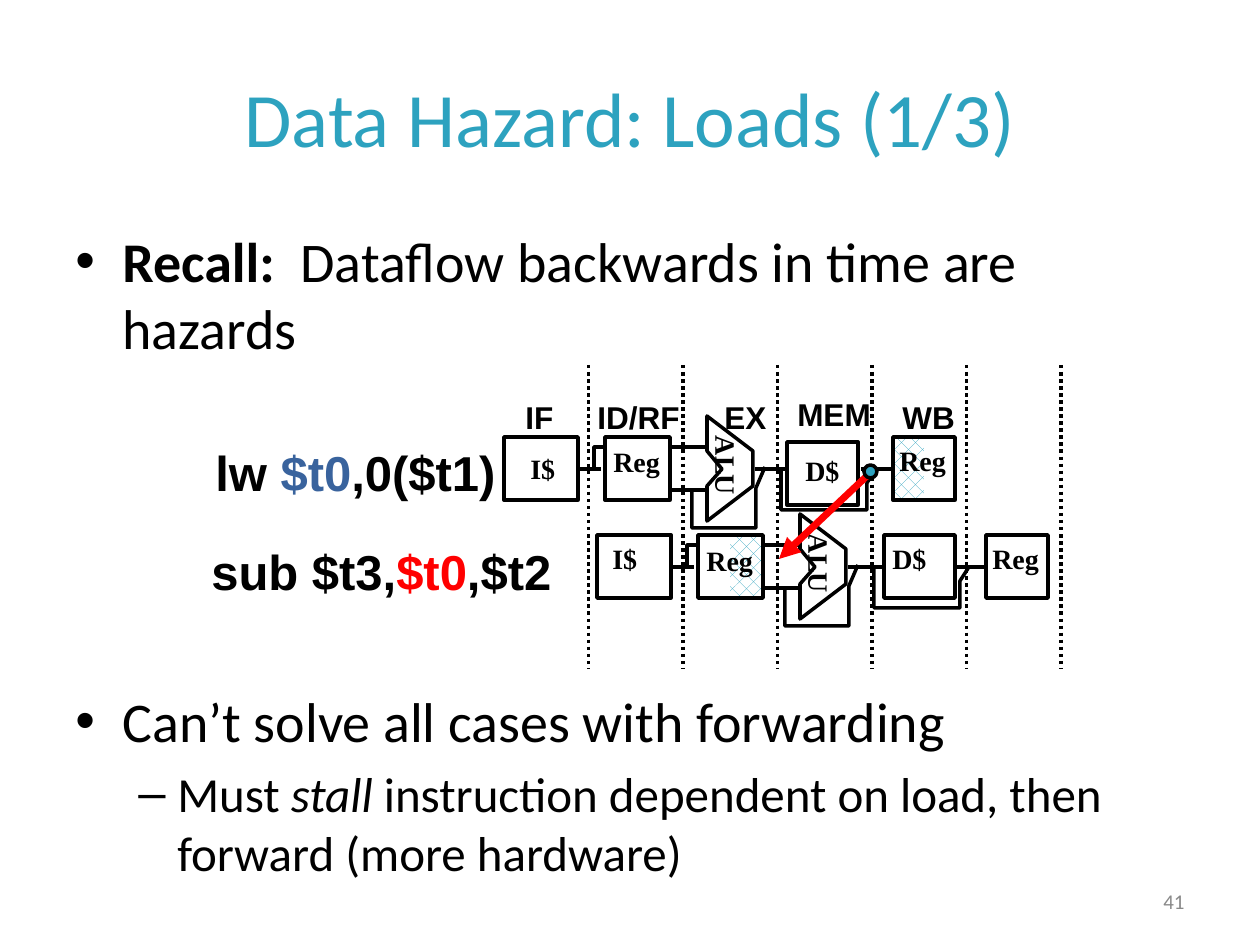
from lxml import etree
from pptx import Presentation
from pptx import util as u
from pptx.dml.color import RGBColor
from pptx.enum import dml, shapes, text
from pptx.oxml.ns import qn

PX = 914400 // 126
COLORS = {"black": "000000", "teal": "2DA2BF", "blue": "39639D",
          "red": "FF0000", "gray": "898989", "white": "FFFFFF"}
BODY = {"name": "Calibri", "size": 32}
CODE = {"name": "Arial", "size": 28, "bold": True}
STAGE = {"name": "Arial", "size": 18, "bold": True}
UNIT = {"name": "Times New Roman", "size": 16, "bold": True}

TITLE = [("Data Hazard: Loads (1/3)", {"name": "Calibri", "size": 44, "color": "teal"})]
NUMBER = [("41", {"name": "Calibri", "size": 12, "color": "gray"})]
BULLETS = [
    (220, [("•", 47, 47, [("Recall:", {**BODY, "bold": True}),
                          ("  Dataflow backwards in time are hazards", BODY)])]),
    (680, [("•", 47, 47, [("Can’t solve all cases with forwarding", BODY)]),
           ("–", 102, 39, [("Must ", {**BODY, "size": 28}),
                           ("stall", {**BODY, "size": 28, "italic": True}),
                           (" instruction dependent on load, then forward (more hardware)",
                            {**BODY, "size": 28})])]),
]
CLOCK = {"left": 588.5, "step": 94.5, "count": 6, "top": 365, "bottom": 668}
STAGES = [("IF", 513, 392, 54), ("ID/RF", 585, 392, 108), ("EX", 712, 392, 69),
          ("MEM", 785, 389, 101), ("WB", 890, 392, 79)]

ROWS = [
    {"origin": (597, 535), "memory": (287, 0), "shaded": (1, "right"),
     "code": (199, 535, 369, [("sub $t3,", CODE), ("$t0", {**CODE, "color": "red"}),
                              (",$t2", CODE)]),
     "labels": [("I$", 600, 535, 50), ("Reg", 694, 537, 72),
                (" D$", 873, 535, 66), ("Reg", 980, 535, 72)]},
    {"origin": (504, 437), "memory": (283, 5), "shaded": (3, "left"),
     "code": (203, 436, 309, [("lw ", CODE), ("$t0", {**CODE, "color": "blue"}),
                              (",0($t1)", CODE)]),
     "labels": [("I$", 518, 445, 50), ("Reg", 601, 438, 72),
                (" D$", 786, 447, 66), ("Reg", 887, 437, 72)]},
]
UNIT_WIDTHS = [74, 65, 71, 62]
UNIT_HEIGHT = 63
ALU = [(203, 49), (218, 32), (203, 14), (203, -21), (249, 14), (249, 49), (203, 84), (203, 49)]
BRANCHES = [
    [(90, 32), (90, 10), (100, 10)],
    [(277, 32), (277, 73), (363, 73), (363, 46), (372, 32)],
    [(188, 53), (188, 91), (252, 91), (252, 51), (261, 30)],
]
WIRES = [(76, 97, 32), (166, 202, 10), (166, 202, 53), (251, 285, 32), (357, 388, 32)]


def px(n):
    return round(n * PX)


def rgb(name):
    return RGBColor.from_string(COLORS[name])


def add_runs(p, runs):
    for words, style in runs:
        r = p.add_run()
        r.text = words
        values = dict(style)
        r.font.color.rgb = rgb(values.pop("color", "black"))
        values["size"] = u.Pt(values["size"])
        for key, value in values.items():
            setattr(r.font, key, value)


def add_box(s, x, y, w, h, wrap=True, anchor=text.MSO_ANCHOR.TOP):
    sp = s.shapes.add_textbox(px(x), px(y), px(w), px(h))
    tf = sp.text_frame
    tf.word_wrap = wrap
    tf.vertical_anchor = anchor
    return sp


def add_label(s, runs, x, y, w, h, align=text.PP_ALIGN.LEFT, **layout):
    sp = add_box(s, x, y, w, h, **layout)
    p = sp.text_frame.paragraphs[0]
    p.alignment = align
    add_runs(p, runs)
    return sp


def add_bullets(s, top, items):
    tf = add_box(s, 63, top, 1134, 190).text_frame
    for i, (mark, margin, hang, runs) in enumerate(items):
        p = tf.add_paragraph() if i else tf.paragraphs[0]
        p.space_before = u.Pt(runs[0][1]["size"] * 0.2)
        pPr = p._p.get_or_add_pPr()
        pPr.set("marL", str(px(margin)))
        pPr.set("indent", str(px(-hang)))
        etree.SubElement(pPr, qn("a:buFont")).set("typeface", "Arial")
        etree.SubElement(pPr, qn("a:buChar")).set("char", mark)
        add_runs(p, runs)


def set_line(sp, color="black", width=2):
    sp.line.color.rgb = rgb(color)
    sp.line.width = u.Pt(width)


def add_line(s, x1, y1, x2, y2, color="black", width=2):
    c = s.shapes.add_connector(shapes.MSO_CONNECTOR.STRAIGHT, px(x1), px(y1), px(x2), px(y2))
    set_line(c, color, width)
    etree.SubElement(c._element.spPr, qn("a:effectLst"))
    return c


def add_path(s, points, origin, shaded=False):
    moved = [(x + origin[0], y + origin[1]) for x, y in points]
    fb = s.shapes.build_freeform(*moved[0], scale=PX)
    fb.add_line_segments(moved[1:], close=False)
    sp = fb.convert_to_shape()
    sp.shadow.inherit = False
    set_line(sp)
    if shaded:
        sp.fill.patterned()
        sp.fill.pattern = dml.MSO_PATTERN.PERCENT_25
        sp.fill.fore_color.rgb = rgb("teal")
        sp.fill.back_color.rgb = rgb("white")
    else:
        sp.fill.background()


def add_row(s, row):
    origin = row["origin"]
    corners = [(0, 0), (101, 0), row["memory"], (389, 0)]
    for i, ((x, y), w) in enumerate(zip(corners, UNIT_WIDTHS)):
        mid, bottom = x + w / 2, y + UNIT_HEIGHT
        for side, edge in (("left", x), ("right", x + w)):
            add_path(s, [(mid, y), (edge, y), (edge, bottom), (mid, bottom)],
                     origin, (i, side) == row["shaded"])
    for points in [ALU, *BRANCHES]:
        add_path(s, points, origin)
    for x1, x2, y in WIRES:
        add_line(s, origin[0] + x1, origin[1] + y, origin[0] + x2, origin[1] + y)
    for words, x, y, w in row["labels"]:
        add_label(s, [(words, UNIT)], x, y, w, 45, wrap=False)
    alu = add_label(s, [("ALU", UNIT)], origin[0] + 181, origin[1] + 6, 84, 45, wrap=False)
    alu.rotation = 90
    x, y, w, runs = row["code"]
    add_label(s, runs, x, y, w, 72, wrap=False)


def add_hazard(s):
    arrow = add_line(s, 868, 475, 779, 559, "red", 4)
    etree.SubElement(arrow.line._get_or_add_ln(), qn("a:tailEnd")).set("type", "triangle")
    dot = s.shapes.add_shape(shapes.MSO_SHAPE.OVAL, px(864), px(465), px(13), px(13))
    dot.shadow.inherit = False
    dot.fill.solid()
    dot.fill.fore_color.rgb = rgb("teal")
    set_line(dot)


def main():
    prs = Presentation()
    prs.slide_width, prs.slide_height = u.Inches(10), u.Inches(7.5)
    s = prs.slides.add_slide(prs.slide_layouts[6])
    middle = text.MSO_ANCHOR.MIDDLE
    add_label(s, TITLE, 63, 38, 1134, 157, text.PP_ALIGN.CENTER, anchor=middle)
    for top, items in BULLETS:
        add_bullets(s, top, items)
    for i in range(CLOCK["count"]):
        x = CLOCK["left"] + i * CLOCK["step"]
        tick = add_line(s, x, CLOCK["top"], x, CLOCK["bottom"])
        tick.line.dash_style = dml.MSO_LINE.ROUND_DOT
    for words, x, y, w in STAGES:
        add_label(s, [(words, STAGE)], x, y, w, 50)
    for row in ROWS:
        add_row(s, row)
    add_hazard(s)
    add_label(s, NUMBER, 903, 876, 294, 50, text.PP_ALIGN.RIGHT, anchor=middle)
    prs.save("out.pptx")


if __name__ == "__main__":
    main()
